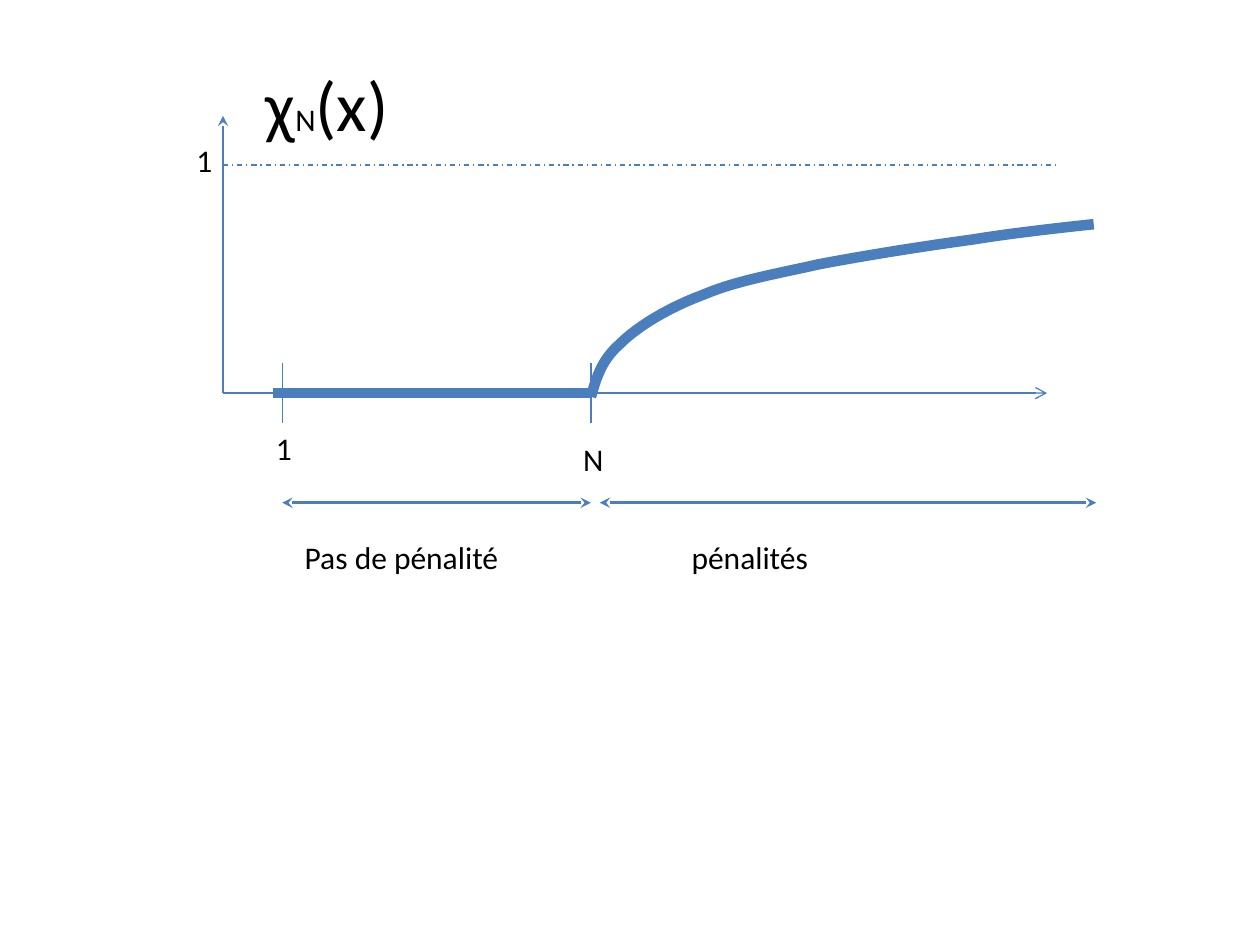
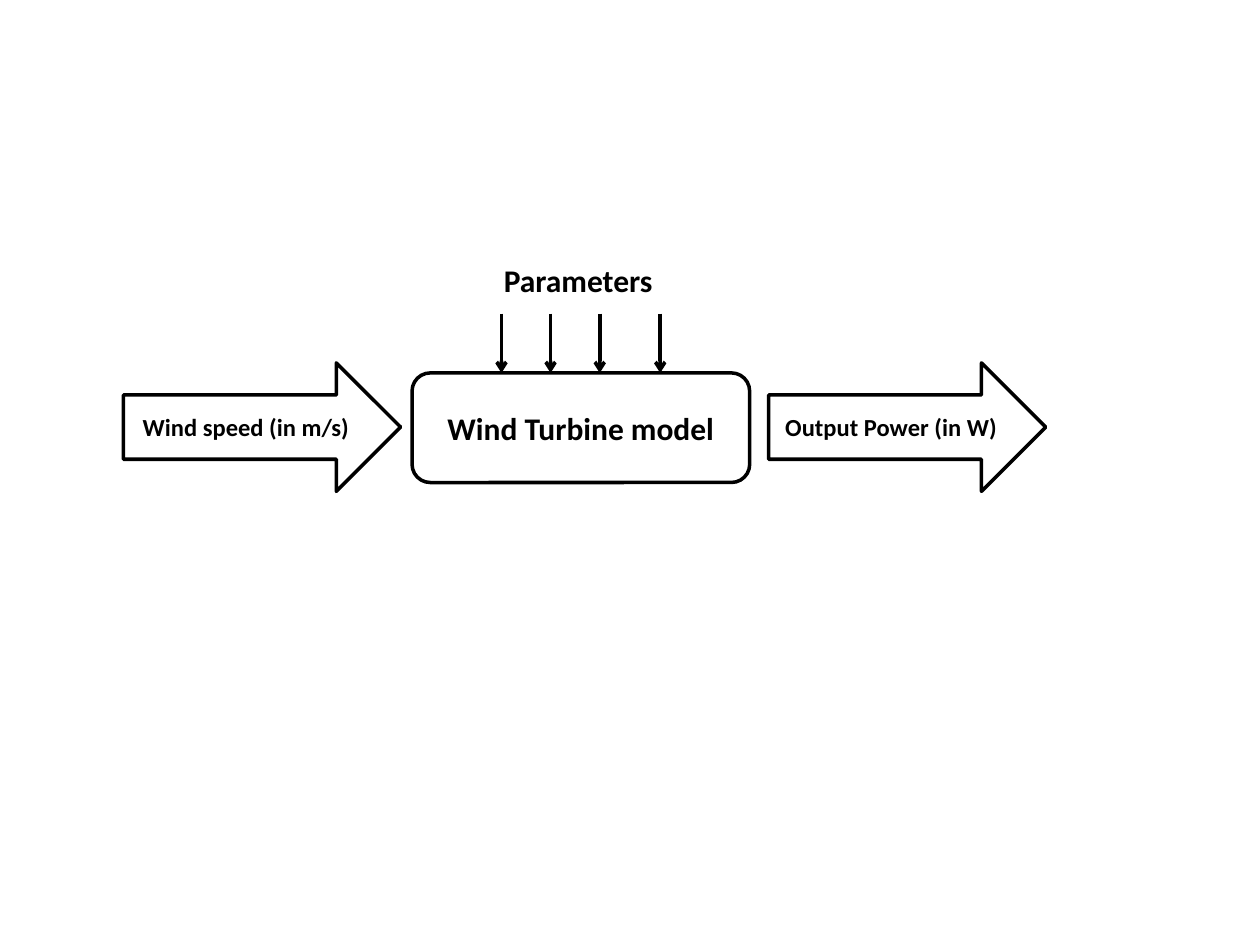
import pptx
import pptx.util
import pptx.dml.color
import pptx.enum.dml
import pptx.enum.shapes
import pptx.enum.text
import pptx.oxml
import pptx.oxml.ns

Kind = pptx.enum.shapes.MSO_SHAPE
Dash = pptx.enum.dml.MSO_LINE
Mid = pptx.enum.text.MSO_ANCHOR.MIDDLE
Center = pptx.enum.text.PP_ALIGN.CENTER

theme = dict(
    font="Calibri", blue="4B7EBC", black="000000",
    big=40, body=18, small=14, thin=0.75, firm=2, bold=6,
)

COLS, ROWS = 100, 75
left, one, turn = 17.7, 22.4, 46.9
base, top, span = 31.2, 13.1, 39.9
tick = 2.4

axes = [
    ((left, 9.2), (left, base), "thin", dict(head="stealth")),
    ((left, base), (83.1, base), "thin", dict(tail="arrow")),
    ((left, top), (83.9, top), "thin", dict(dash=Dash.DASH_DOT)),
]
ticks = [((x, base - tick), (x, base + tick), "thin", {}) for x in (turn, one)]
flat = [((21.7, base), (turn, base), "bold", {})]
spans = [
    ((start, span), (end, span), "firm", dict(head="stealth", tail="stealth"))
    for start, end in ((one, turn), (47.6, 87))
]
curve = [
    (46.9, 31.5),
    (47.3, 30.1), (47.7, 28.6), (49.2, 27.3),
    (50.6, 25.9), (53.1, 24.4), (55.8, 23.4),
    (58.4, 22.3), (61.3, 21.8), (64.9, 21),
    (68.5, 20.3), (73.6, 19.5), (77.3, 19),
    (80.9, 18.4), (86.8, 17.8), (86.8, 17.8),
]
labels = [
    ((45.3, 34.4, 6.3, 4), [("N", "body")]),
    ((20.9, 33.6, 3.9, 4), [("1", "body")]),
    ((14.6, 10.7, 3.9, 4), [("1", "body")]),
    ((20.1, 4.4, 15, 7.7), [("χ", "big"), ("N", "body"), ("(x)", "big")]),
    ((23.2, 42.2, 22, 4), [("Pas de pénalité", "body")]),
    ((53.9, 42.2, 33.9, 4), [("pénalités", "body")]),
]

roof = 29.6
blocks = [
    (Kind.RIGHT_ARROW, (9.8, 28.8, 22, 10.2), "Wind speed (in m/s)", "small"),
    (Kind.RIGHT_ARROW, (61, 28.8, 22, 10.2), "Output Power (in W)", "small"),
    (Kind.ROUNDED_RECTANGLE, (32.7, roof, 26.8, 8.7), "Wind Turbine model", "body"),
]
inputs = [39.8, 43.7, 47.6, 52.4]

deck = pptx.Presentation()
deck.slide_width = pptx.util.Inches(10)
deck.slide_height = pptx.util.Inches(7.5)


def across(col):
    return round(deck.slide_width * col / COLS)


def down(row):
    return round(deck.slide_height * row / ROWS)


def place(box):
    x, y, wide, high = box
    return across(x), down(y), across(wide), down(high)


def tint(name):
    return pptx.dml.color.RGBColor.from_string(theme[name])


def stroke(shape, color, weight):
    shape.line.color.rgb = tint(color)
    shape.line.width = pptx.util.Pt(theme[weight])


def node(tag, **attrs):
    item = pptx.oxml.parse_xml(f"<{tag} {pptx.oxml.ns.nsdecls('a')}/>")
    for key, value in attrs.items():
        item.set(key, value)
    return item


def link(slide, start, end, color, weight, head=None, tail=None, dash=None):
    line = slide.shapes.add_connector(
        pptx.enum.shapes.MSO_CONNECTOR.STRAIGHT,
        across(start[0]), down(start[1]), across(end[0]), down(end[1]))
    stroke(line, color, weight)
    if dash:
        line.line.dash_style = dash
    props = line.element.spPr
    pen = props.find(pptx.oxml.ns.qn("a:ln"))
    for tag, tip in (("a:headEnd", head), ("a:tailEnd", tail)):
        if tip:
            pen.append(node(tag, type=tip))
    props.append(node("a:effectLst"))


def write(para, runs, bold=False):
    for text, size in runs:
        run = para.add_run()
        run.text = text
        run.font.name = theme["font"]
        run.font.size = pptx.util.Pt(theme[size])
        run.font.bold = bold
        run.font.color.rgb = tint("black")


def label(slide, box, runs, bold=False):
    frame = slide.shapes.add_textbox(*place(box)).text_frame
    frame.word_wrap = True
    frame.auto_size = pptx.enum.text.MSO_AUTO_SIZE.SHAPE_TO_FIT_TEXT
    write(frame.paragraphs[0], runs, bold)


def block(slide, kind, box, text, size):
    shape = slide.shapes.add_shape(kind, *place(box))
    shape.shadow.inherit = False
    shape.fill.background()
    stroke(shape, "black", "firm")
    frame = shape.text_frame
    frame.word_wrap = True
    frame.vertical_anchor = Mid
    para = frame.paragraphs[0]
    para.alignment = Center
    write(para, [(text, size)], True)


def bend(knots, steps=12):
    points = [knots[0]]
    for at in range(0, len(knots) - 1, 3):
        a, b, c, d = knots[at:at + 4]
        for step in range(1, steps + 1):
            t = step / steps
            u = 1 - t
            points.append(tuple(
                u**3 * p + 3 * u * u * t * q + 3 * u * t * t * r + t**3 * s
                for p, q, r, s in zip(a, b, c, d)))
    return points


def draw(slide, knots):
    points = [(across(x), down(y)) for x, y in bend(knots)]
    pen = slide.shapes.build_freeform(*points[0])
    pen.add_line_segments(points[1:], close=False)
    shape = pen.convert_to_shape()
    shape.shadow.inherit = False
    shape.fill.background()
    stroke(shape, "blue", "bold")


def page():
    return deck.slides.add_slide(deck.slide_layouts[6])


graph = page()
for start, end, weight, style in axes + ticks + flat:
    link(graph, start, end, "blue", weight, **style)
draw(graph, curve)
for box, runs in labels:
    label(graph, box, runs)
for start, end, weight, style in spans:
    link(graph, start, end, "blue", weight, **style)

model = page()
for item in blocks:
    block(model, *item)
for x in inputs:
    link(model, (x, 24.9), (x, roof), "black", "firm", tail="arrow")
label(model, (39, 20.2, 25.2, 4), [("Parameters", "body")], True)

deck.save("out.pptx")
